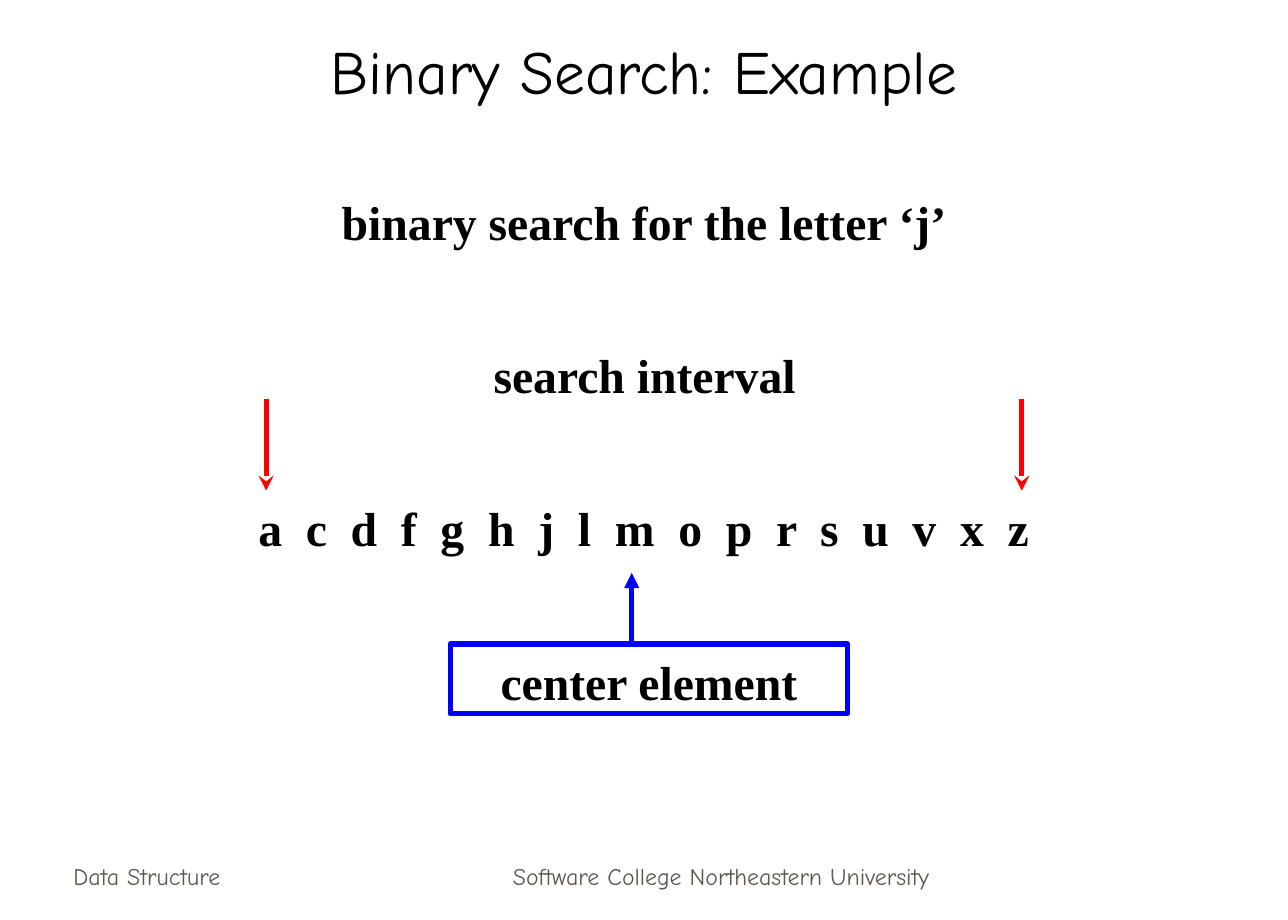
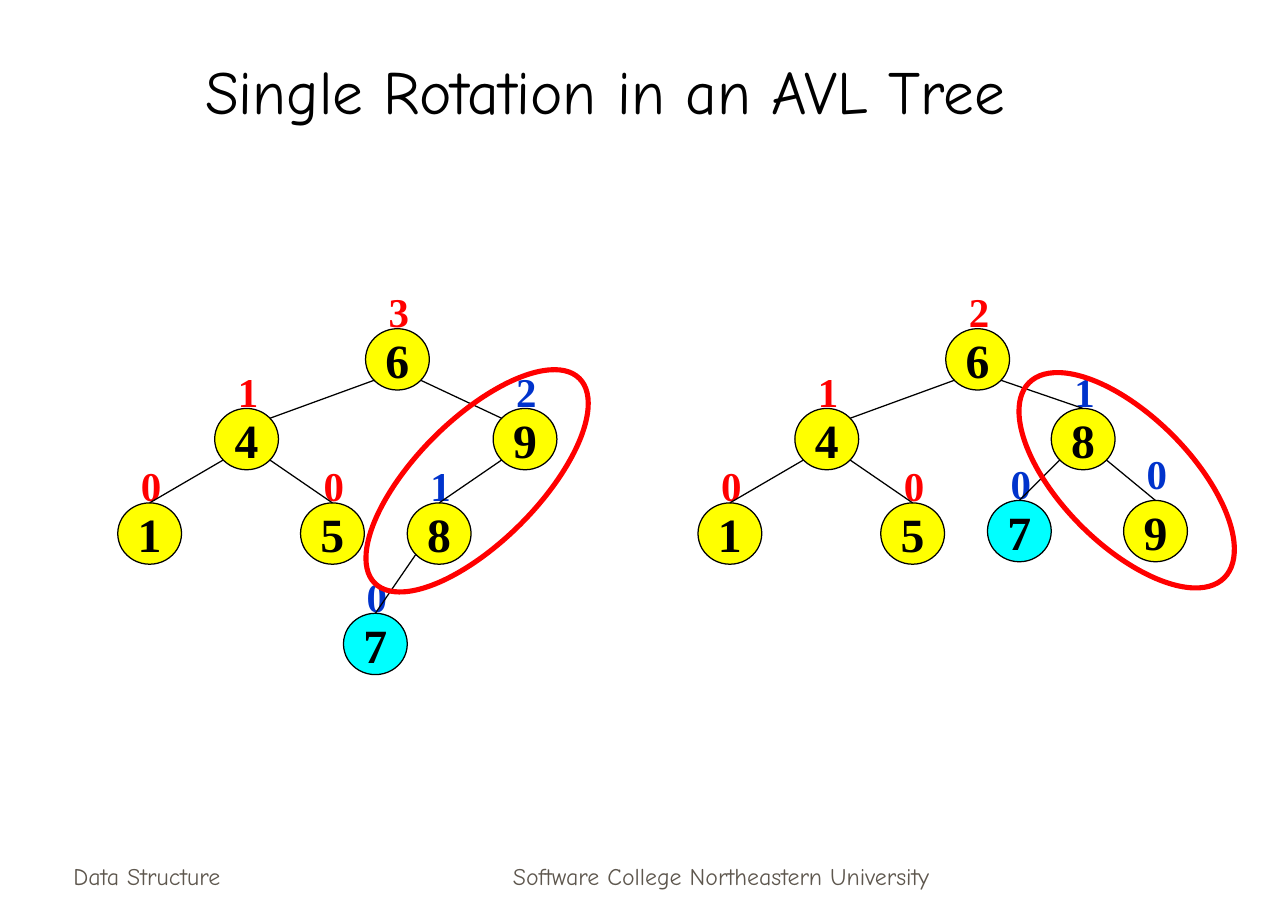
from dataclasses import dataclass
from typing import Optional

from lxml import etree
from pptx import Presentation
from pptx.dml.color import RGBColor
from pptx.enum import shapes, text
from pptx.oxml import ns
from pptx.util import Inches, Pt

BLACK = RGBColor(0x00, 0x00, 0x00)
RED = RGBColor(0xFF, 0x00, 0x00)
BLUE = RGBColor(0x00, 0x00, 0xFF)
LABEL_BLUE = RGBColor(0x00, 0x33, 0xCC)
YELLOW = RGBColor(0xFF, 0xFF, 0x00)
CYAN = RGBColor(0x00, 0xFF, 0xFF)
FOOTER_GRAY = RGBColor(0x5E, 0x57, 0x4E)


@dataclass(frozen=True)
class Style:
    font: str
    size: float
    color: RGBColor = BLACK
    bold: bool = False
    align: text.PP_ALIGN = text.PP_ALIGN.CENTER
    anchor: text.MSO_ANCHOR = text.MSO_ANCHOR.TOP
    wrap: bool = True
    inset_top: float = 0.05


@dataclass(frozen=True)
class Area:
    left: float
    top: float
    width: float
    height: float

    def lengths(self) -> tuple:
        return tuple(map(Inches, (self.left, self.top, self.width, self.height)))


@dataclass(frozen=True)
class Node:
    """A tree node; its edge comes from the parent named by value."""
    value: str
    height: str
    left: float
    top: float
    parent: Optional[str] = None
    edge_to_top: bool = True
    label_color: RGBColor = RED
    fill: RGBColor = YELLOW
    label_lift: float = 0.39


HEADING_FONT, BODY_FONT = "Comic Neue", "Times New Roman"
BOTTOM = text.MSO_ANCHOR.BOTTOM
TITLE = Style(HEADING_FONT, 36, anchor=BOTTOM)
FOOTER = Style(HEADING_FONT, 14, FOOTER_GRAY, anchor=BOTTOM)
FOOTER_LEFT = Style(HEADING_FONT, 14, FOOTER_GRAY, align=text.PP_ALIGN.LEFT, anchor=BOTTOM)
CAPTION = Style(BODY_FONT, 28, bold=True, inset_top=0.07)
NODE_VALUE = Style(BODY_FONT, 28, bold=True, anchor=text.MSO_ANCHOR.MIDDLE, wrap=False)

NODE_WIDTH, NODE_HEIGHT = 0.52, 0.5
EDGE_INSET_X, EDGE_INSET_Y = 0.07, 0.08
TREE_SHIFT = 4.73


def write(shape, content: str, style: Style):
    """Put one styled paragraph in a shape and return its run."""
    frame = shape.text_frame
    frame.text = content
    frame.word_wrap = style.wrap
    frame.vertical_anchor = style.anchor
    frame.margin_left = frame.margin_right = Inches(0.1)
    frame.margin_top, frame.margin_bottom = Inches(style.inset_top), Inches(0.05)
    para = frame.paragraphs[0]
    para.alignment = style.align
    span = para.runs[0]
    span.font.name, span.font.size, span.font.bold = style.font, Pt(style.size), style.bold
    span.font.color.rgb = style.color
    return span


def add_text(page, area: Area, content: str, style: Style):
    return write(page.shapes.add_textbox(*area.lengths()), content, style)


def add_outline(page, kind, area: Area, color: RGBColor, width: float,
                fill: Optional[RGBColor] = None):
    shape = page.shapes.add_shape(kind, *area.lengths())
    shape.shadow.inherit = False
    if fill is None:
        shape.fill.background()
    else:
        shape.fill.solid()
        shape.fill.fore_color.rgb = fill
    shape.line.color.rgb = color
    shape.line.width = Pt(width)
    return shape


def add_line(page, start: tuple[float, float], end: tuple[float, float],
             color: RGBColor = BLACK, width: float = 0.75, arrow: str = "") -> None:
    line = page.shapes.add_connector(shapes.MSO_CONNECTOR.STRAIGHT,
                                     *map(Inches, (*start, *end)))
    line.line.color.rgb = color
    line.line.width = Pt(width)
    if arrow:
        etree.SubElement(line.line._get_or_add_ln(), ns.qn("a:tailEnd"), type=arrow)
    etree.SubElement(line._element.spPr, ns.qn("a:effectLst"))


def start_page(deck, title: str, title_area: Area):
    """Add a blank slide with the shared footer and a title."""
    page = deck.slides.add_slide(deck.slide_layouts[6])
    add_text(page, Area(0.5, 6.81, 2.19, 0.5), "Data Structure", FOOTER_LEFT)
    add_text(page, Area(3.59, 6.81, 4.58, 0.5),
             "Software College Northeastern University", FOOTER)
    add_text(page, title_area, title, TITLE)
    return page


def add_edge(page, parent: Node, child: Node) -> None:
    goes_left = child.left < parent.left
    near, far = EDGE_INSET_X, NODE_WIDTH - EDGE_INSET_X
    start = (parent.left + (near if goes_left else far),
             parent.top + NODE_HEIGHT - EDGE_INSET_Y)
    if child.edge_to_top:
        end = (child.left + NODE_WIDTH / 2, child.top)
    else:
        end = (child.left + (far if goes_left else near), child.top + EDGE_INSET_Y)
    add_line(page, start, end)


def add_tree(page, nodes: list[Node]) -> None:
    by_value = {node.value: node for node in nodes}
    for node in nodes:
        label = Style(BODY_FONT, 24, node.label_color, bold=True, wrap=False)
        add_text(page, Area(node.left + 0.09, node.top - node.label_lift, 0.36, 0.5),
                 node.height, label)
    for node in nodes:
        circle = add_outline(page, shapes.MSO_SHAPE.OVAL,
                             Area(node.left, node.top, NODE_WIDTH, NODE_HEIGHT),
                             BLACK, 0.75, node.fill)
        write(circle, node.value, NODE_VALUE)
    for node in nodes:
        if node.parent:
            add_edge(page, by_value[node.parent], node)


def common_nodes(root_height: str, shift: float = 0) -> list[Node]:
    """The root and left subtree, which the rotation leaves alone."""
    return [
        Node("6", root_height, 2.98 + shift, 2.68),
        Node("4", "1", 1.75 + shift, 3.33, "6", edge_to_top=False),
        Node("1", "0", 0.96 + shift, 4.1, "4"),
        Node("5", "0", 2.45 + shift, 4.1, "4"),
    ]


def add_search_page(deck) -> None:
    page = start_page(deck, "Binary Search: Example", Area(0.79, 0.17, 8.92, 0.75))
    letters = add_text(page, Area(0.96, 4, 8.58, 0.57),
                       "a c d f g h j l m o p r s u v x z", CAPTION)
    letters.font._element.set("spc", "350")
    add_text(page, Area(0.96, 1.5, 8.58, 0.57), "binary search for the letter ‘j’", CAPTION)
    add_text(page, Area(3.68, 2.75, 3.15, 0.57), "search interval", CAPTION)
    for x in (2.17, 8.33):
        add_line(page, (x, 3.25), (x, 4), RED, 3, "stealth")
    center = add_outline(page, shapes.MSO_SHAPE.RECTANGLE,
                         Area(3.67, 5.25, 3.24, 0.57), BLUE, 3)
    write(center, "center element", CAPTION)
    add_line(page, (5.15, 5.25), (5.15, 4.67), BLUE, 3, "triangle")


def add_rotation_page(deck) -> None:
    page = start_page(deck, "Single Rotation in an AVL Tree", Area(0.47, 0.25, 8.93, 0.83))
    add_tree(page, common_nodes("3") + [
        Node("9", "2", 4.02, 3.33, "6", False, LABEL_BLUE),
        Node("8", "1", 3.32, 4.1, "9", True, LABEL_BLUE),
        Node("7", "0", 2.8, 5, "8", True, LABEL_BLUE, CYAN),
    ])
    add_tree(page, common_nodes("2", TREE_SHIFT) + [
        Node("8", "1", 8.57, 3.33, "6", True, LABEL_BLUE),
        Node("9", "0", 9.16, 4.08, "8", True, LABEL_BLUE, label_lift=0.47),
        Node("7", "0", 8.05, 4.08, "8", True, LABEL_BLUE, CYAN),
    ])
    for area, angle in ((Area(2.71, 3.42, 2.36, 1), 315), (Area(8.06, 3.39, 2.25, 1.05), 45)):
        add_outline(page, shapes.MSO_SHAPE.OVAL, area, RED, 3).rotation = angle


def main() -> None:
    deck = Presentation()
    deck.slide_width, deck.slide_height = Inches(10.5), Inches(7.5)
    add_search_page(deck)
    add_rotation_page(deck)
    deck.save("out.pptx")


if __name__ == "__main__":
    main()
